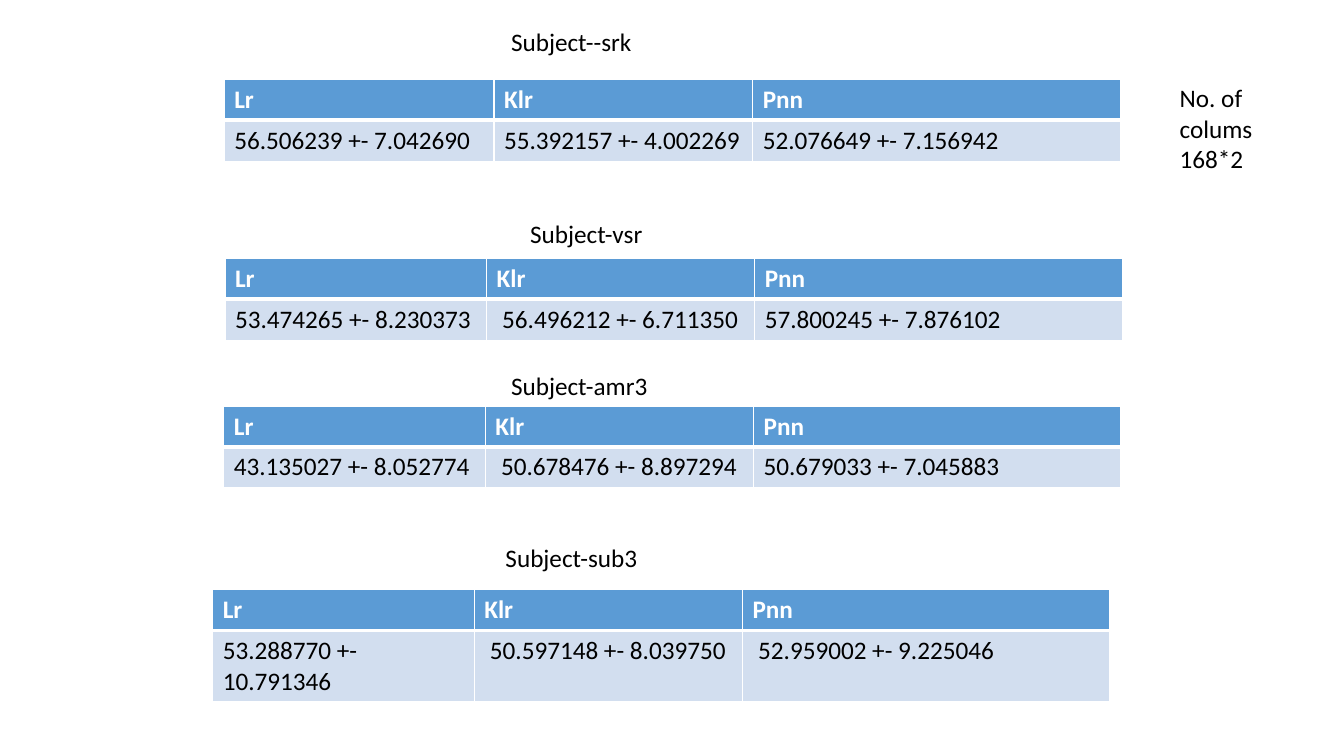
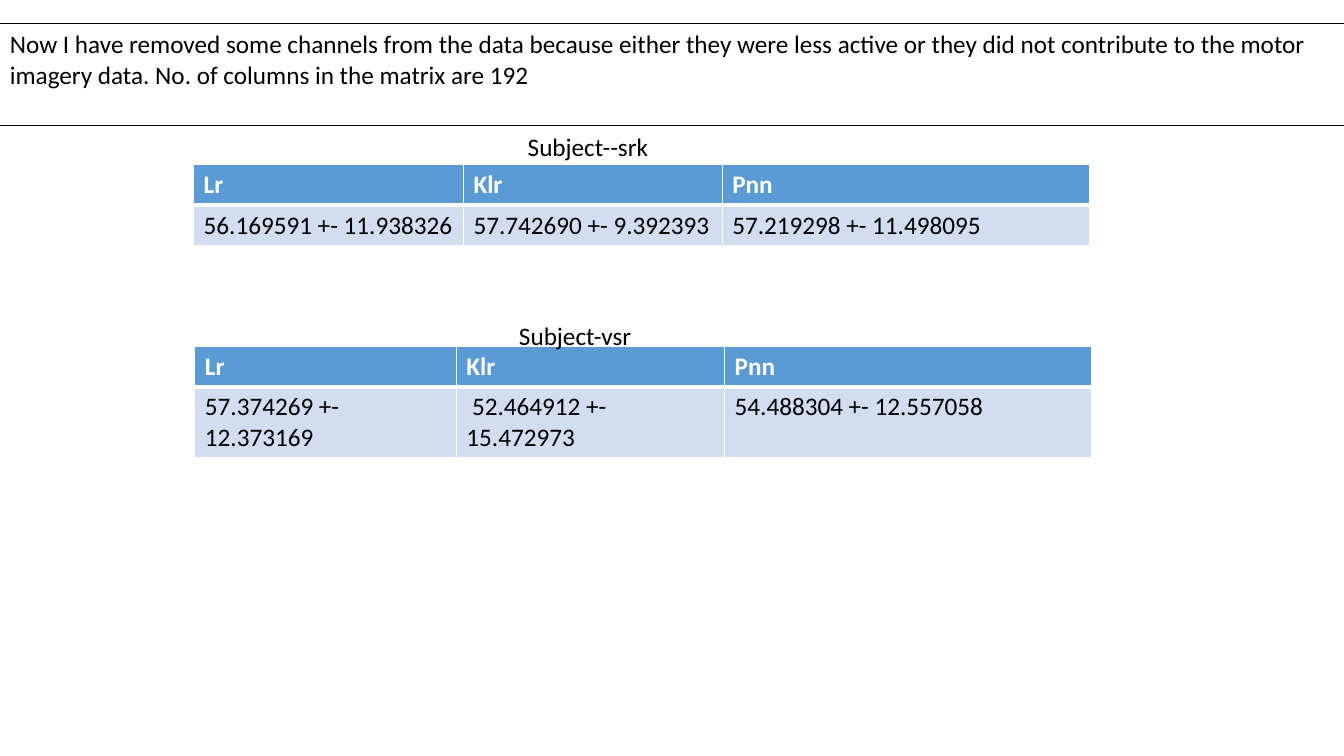
from lxml import etree
from pptx import Presentation
from pptx import util as u
from pptx.dml.color import RGBColor
from pptx.enum import shapes, text
from pptx.oxml import ns

WHITE = RGBColor(0xFF, 0xFF, 0xFF)
BLACK = RGBColor(0, 0, 0)
HEADER_BLUE = RGBColor(0x5B, 0x9B, 0xD5)
ROW_BLUE = RGBColor(0xD2, 0xDE, 0xEF)
FONT = "Calibri"
SIZE = u.Pt(18)
ROW_HEIGHT = 1.03
WIDE_FIRST = (6.8, 6.52, 9.26)
WIDE_SECOND = (6.59, 6.76, 9.26)
METHODS = ("Lr", "Klr", "Pnn")

SUBJECTS_ALL_CHANNELS = (
    ("Subject--srk", (5.65, 2), (12.63, 0.54), WIDE_FIRST,
     ("56.506239 +- 7.042690", "55.392157 +- 4.002269", "52.076649 +- 7.156942")),
    ("Subject-vsr", (5.67, 6.51), (13.11, 5.38), WIDE_SECOND,
     ("53.474265 +- 8.230373", " 56.496212 +- 6.711350", "57.800245 +- 7.876102")),
    ("Subject-amr3", (5.64, 10.23), (12.63, 9.2), WIDE_SECOND,
     ("43.135027 +- 8.052774", " 50.678476 +- 8.897294", "50.679033 +- 7.045883")),
    ("Subject-sub3", (5.36, 14.86), (12.49, 13.54), WIDE_SECOND,
     ("53.288770 +- 10.791346", " 50.597148 +- 8.039750", " 52.959002 +- 9.225046")),
)
SUBJECTS_FEWER_CHANNELS = (
    ("Subject--srk", (4.88, 4.14), (13.05, 3.18), WIDE_FIRST,
     ("56.169591 +- 11.938326", "57.742690 +- 9.392393", "57.219298 +- 11.498095")),
    ("Subject-vsr", (4.91, 8.72), (12.83, 7.94), WIDE_SECOND,
     ("57.374269 +- 12.373169", " 52.464912 +- 15.472973", "54.488304 +- 12.557058")),
)


def write(frame, wording, color=BLACK, bold=False):
    """Add one formatted run to the first paragraph of a text frame."""
    run = frame.paragraphs[0].add_run()
    run.text = wording
    run.font.name, run.font.size, run.font.bold = FONT, SIZE, bold
    run.font.color.rgb = color


def add_label(slide, wording, left, top, width, height=1.03):
    """Place a wrapped line of plain text in the given box."""
    label = slide.shapes.add_textbox(u.Cm(left), u.Cm(top), u.Cm(width), u.Cm(height))
    label.text_frame.word_wrap = True
    write(label.text_frame, wording)


def add_borders(cell, top, bottom):
    """Draw white cell borders with the given top and bottom widths in points."""
    properties = cell._tc.get_or_add_tcPr()
    sides = (("a:lnL", 1), ("a:lnR", 1), ("a:lnT", top), ("a:lnB", bottom))
    for place, (side, points) in enumerate(sides):
        border = etree.Element(ns.qn(side), w=str(u.Pt(points)))
        fill = etree.SubElement(border, ns.qn("a:solidFill"))
        etree.SubElement(fill, ns.qn("a:srgbClr"), val=str(WHITE))
        properties.insert(place, border)


def add_scores(slide, left, top, widths, scores):
    """Place a table of scores by method at the given corner."""
    table = slide.shapes.add_table(
        2, len(METHODS), u.Cm(left), u.Cm(top), u.Cm(sum(widths)), u.Cm(2 * ROW_HEIGHT)).table
    for row in table.rows:
        row.height = u.Cm(ROW_HEIGHT)
    for column, width in enumerate(widths):
        table.columns[column].width = u.Cm(width)
        header, score = table.cell(0, column), table.cell(1, column)
        for cell, color in ((header, HEADER_BLUE), (score, ROW_BLUE)):
            cell.fill.solid()
            cell.fill.fore_color.rgb = color
        write(header.text_frame, METHODS[column], WHITE, True)
        write(score.text_frame, scores[column])
        add_borders(header, 1, 3)
        add_borders(score, 3, 1)


def add_subjects(slide, subjects):
    """Place the table and the caption of every subject."""
    for caption, table_corner, caption_corner, widths, scores in subjects:
        add_scores(slide, *table_corner, widths, scores)
        add_label(slide, caption, *caption_corner, 7.26)


def add_banner(slide, wording, left, top, width, height):
    """Place an outlined box of left-aligned text in the given box."""
    banner = slide.shapes.add_shape(
        shapes.MSO_SHAPE.RECTANGLE, u.Cm(left), u.Cm(top), u.Cm(width), u.Cm(height))
    banner.shadow.inherit = False
    banner.fill.background()
    banner.line.color.rgb = BLACK
    banner.line.width = u.Pt(0.75)
    frame = banner.text_frame
    frame.word_wrap = True
    frame.vertical_anchor = text.MSO_ANCHOR.TOP
    frame.paragraphs[0].alignment = text.PP_ALIGN.LEFT
    write(frame, wording)


def main():
    """Build both slides and save the presentation."""
    deck = Presentation()
    deck.slide_width, deck.slide_height = u.Cm(33.87), u.Cm(19.05)
    blank = deck.slide_layouts[6]

    all_channels = deck.slides.add_slide(blank)
    add_subjects(all_channels, SUBJECTS_ALL_CHANNELS)
    add_label(all_channels, "No. of colums 168*2", 29.48, 1.96, 3.86, 2.57)

    fewer_channels = deck.slides.add_slide(blank)
    add_banner(
        fewer_channels,
        "Now I have removed some channels from the data because either they were less active "
        "or they did not contribute to the motor imagery data. "
        "No. of columns in the matrix are 192",
        0, 0.6, 34.82, 2.57)
    add_subjects(fewer_channels, SUBJECTS_FEWER_CHANNELS)

    deck.save("out.pptx")


if __name__ == "__main__":
    main()
